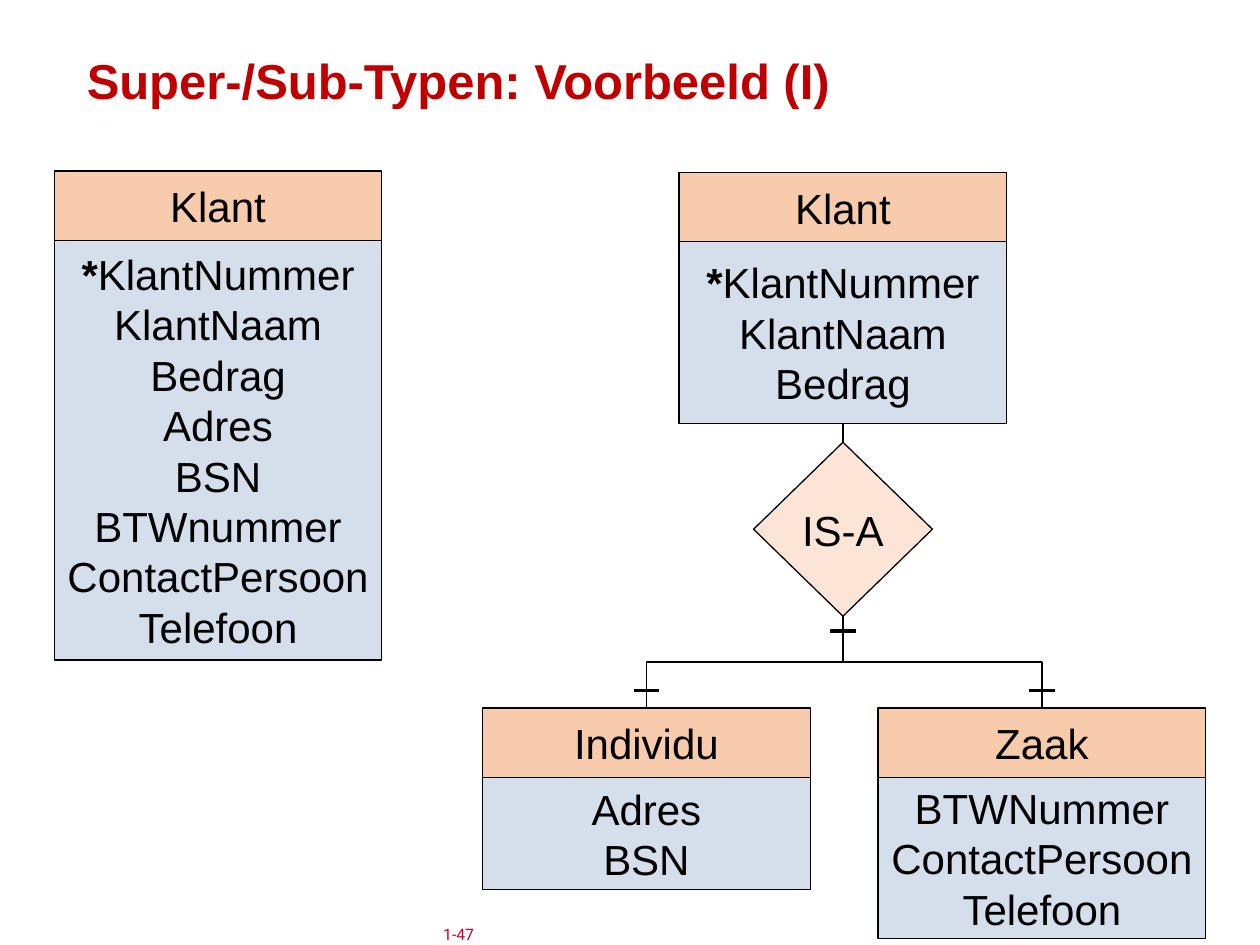
from dataclasses import dataclass

from lxml.etree import SubElement
from pptx import Presentation
from pptx.dml.color import RGBColor
from pptx.enum.shapes import MSO_CONNECTOR, MSO_SHAPE
from pptx.enum.text import MSO_ANCHOR, PP_ALIGN
from pptx.oxml.ns import qn
from pptx.util import Pt


@dataclass(frozen=True)
class Theme:
    font: str = "Arial"
    number_font: str = "Roboto"
    title: str = "C00000"
    number: str = "C7002B"
    ink: str = "000000"
    header: str = "F7CBAC"
    body: str = "D5DFEB"
    relation: str = "FCE4D6"
    title_size: float = 28
    text_size: float = 24
    number_size: float = 9
    line_pitch: float = 28.8
    thin: float = 0.75
    thick: float = 2


BOX_WIDTH, HEADER_HEIGHT = 187.2, 39.6
BOTTOM, TOP = 2, 0


def apply(target, values):
    for name, value in values.items():
        setattr(target, name, value)


class Diagram:
    def __init__(self, slide, theme):
        self.slide, self.theme = slide, theme

    def add_text(self, paragraph, text, size, color, font, bold=False):
        run = paragraph.add_run()
        run.text = text
        apply(run.font, {"name": font, "size": Pt(size), "bold": bold})
        run.font.color.rgb = RGBColor.from_string(color)

    def label(self, text, left, top, width, height, inset_top, *style):
        frame = self.slide.shapes.add_textbox(
            Pt(left), Pt(top), Pt(width), Pt(height)).text_frame
        apply(frame, {"word_wrap": True, "margin_top": Pt(inset_top),
                      "margin_bottom": 0, "vertical_anchor": MSO_ANCHOR.TOP})
        self.add_text(frame.paragraphs[0], text, *style)

    def box(self, lines, left, top, width, height, fill, preset=MSO_SHAPE.RECTANGLE):
        theme = self.theme
        box = self.slide.shapes.add_shape(
            preset, Pt(left), Pt(top), Pt(width), Pt(height))
        box.shadow.inherit = False
        box.fill.solid()
        box.fill.fore_color.rgb = RGBColor.from_string(fill)
        self.stroke(box.line, theme.thin)
        frame = box.text_frame
        apply(frame, {"word_wrap": False, "vertical_anchor": MSO_ANCHOR.MIDDLE})
        for index, line in enumerate(lines):
            paragraph = frame.add_paragraph() if index else frame.paragraphs[0]
            apply(paragraph, {"alignment": PP_ALIGN.CENTER,
                              "line_spacing": Pt(theme.line_pitch)})
            style = (theme.text_size, theme.ink, theme.font)
            # The key attribute carries a bold star
            if line.startswith("*"):
                self.add_text(paragraph, "*", *style, True)
                line = line[1:]
            self.add_text(paragraph, line, *style)
        return box

    def entity(self, name, attributes, left, top, body_height):
        body = self.box(attributes, left, top + HEADER_HEIGHT, BOX_WIDTH,
                        body_height, self.theme.body)
        header = self.box([name], left, top, BOX_WIDTH, HEADER_HEIGHT,
                          self.theme.header)
        return header, body

    def stroke(self, line, width):
        line.color.rgb = RGBColor.from_string(self.theme.ink)
        line.width = Pt(width)

    def connector(self, kind, width, x1=0, y1=0, x2=0, y2=0):
        line = self.slide.shapes.add_connector(kind, Pt(x1), Pt(y1), Pt(x2), Pt(y2))
        self.stroke(line.line, width)
        SubElement(line._element.spPr, qn("a:effectLst"))
        return line

    def link(self, upper, lower, kind=MSO_CONNECTOR.STRAIGHT):
        line = self.connector(kind, self.theme.thin)
        line.begin_connect(upper, BOTTOM)
        line.end_connect(lower, TOP)
        return line

    def branch(self, upper, lower):
        line = self.link(upper, lower, MSO_CONNECTOR.ELBOW)
        # Turn the elbow a quarter so that it leaves downwards
        start = upper.left + upper.width // 2
        end = lower.left + lower.width // 2
        y1, y2 = upper.top + upper.height, lower.top
        across, down = abs(end - start), y2 - y1
        apply(line, {"left": (start + end - down) // 2,
                     "top": (y1 + y2 - across) // 2,
                     "width": down, "height": across})
        xfrm = line._element.spPr.find(qn("a:xfrm"))
        for flip in ("flipH", "flipV"):
            xfrm.attrib.pop(flip, None)
        xfrm.set("rot", "5400000" if end < start else "16200000")
        if end > start:
            xfrm.set("flipH", "1")

    def tick(self, center, y):
        self.connector(MSO_CONNECTOR.STRAIGHT, self.theme.thick,
                       center + 7.2, y, center - 7.2, y)


def main():
    deck = Presentation()
    deck.slide_width, deck.slide_height = Pt(720), Pt(540)
    theme = Theme()
    diagram = Diagram(deck.slides.add_slide(deck.slide_layouts[6]), theme)

    # Title and slide number
    diagram.label("Super-/Sub-Typen: Voorbeeld (I)", 42.5, 22.3, 553, 85, 6.7,
                  theme.title_size, theme.title, theme.font, True)
    diagram.label("1-47", 246.2, 516.2, 228.2, 17.3, 14.1,
                  theme.number_size, theme.number, theme.number_font)

    # Single entity with every attribute
    shared = ["*KlantNummer", "KlantNaam", "Bedrag"]
    diagram.entity("Klant", shared + ["Adres", "BSN", "BTWnummer",
                                      "ContactPersoon", "Telefoon"],
                   31, 97.7, 239.8)

    # Supertype and its subtypes
    klant_left, subtype_top = 388.1, 404.6
    _, klant = diagram.entity("Klant", shared, klant_left, 98.6, 103.7)
    subtypes = [("Individu", ["Adres", "BSN"], 275.8, 64.1),
                ("Zaak", ["BTWNummer", "ContactPersoon", "Telefoon"], 501.8, 92.2)]
    headers = [diagram.entity(name, attributes, left, subtype_top, height)[0]
               for name, attributes, left, height in subtypes]

    # IS-A relation
    center = klant_left + BOX_WIDTH / 2
    is_a = diagram.box(["IS-A"], center - 51.1, 252.7, 102.2, 99.4,
                       theme.relation, MSO_SHAPE.DIAMOND)
    for header in headers:
        diagram.branch(is_a, header)
    diagram.link(klant, is_a)

    # Cardinality ticks
    diagram.tick(center, 360.7)
    for header in headers:
        diagram.tick(header.left.pt + BOX_WIDTH / 2, subtype_top - 10)

    deck.save("out.pptx")


if __name__ == "__main__":
    main()
